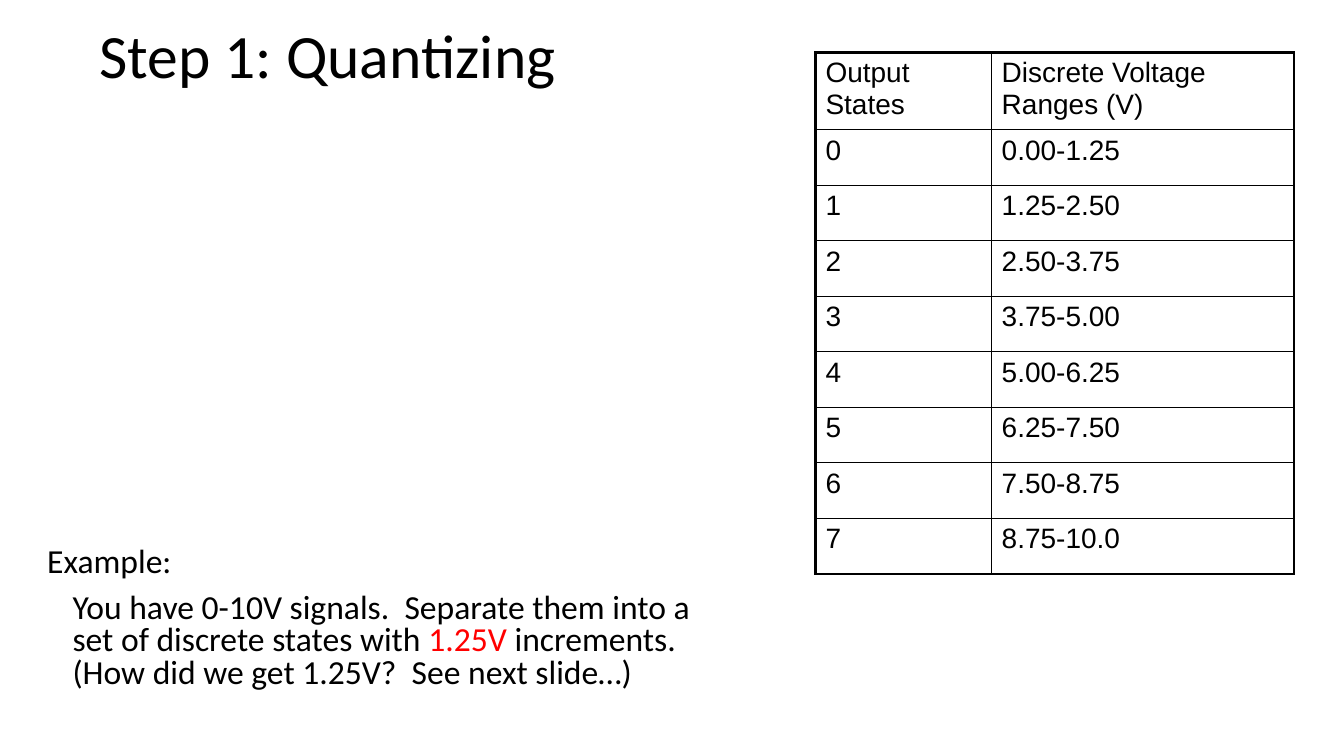
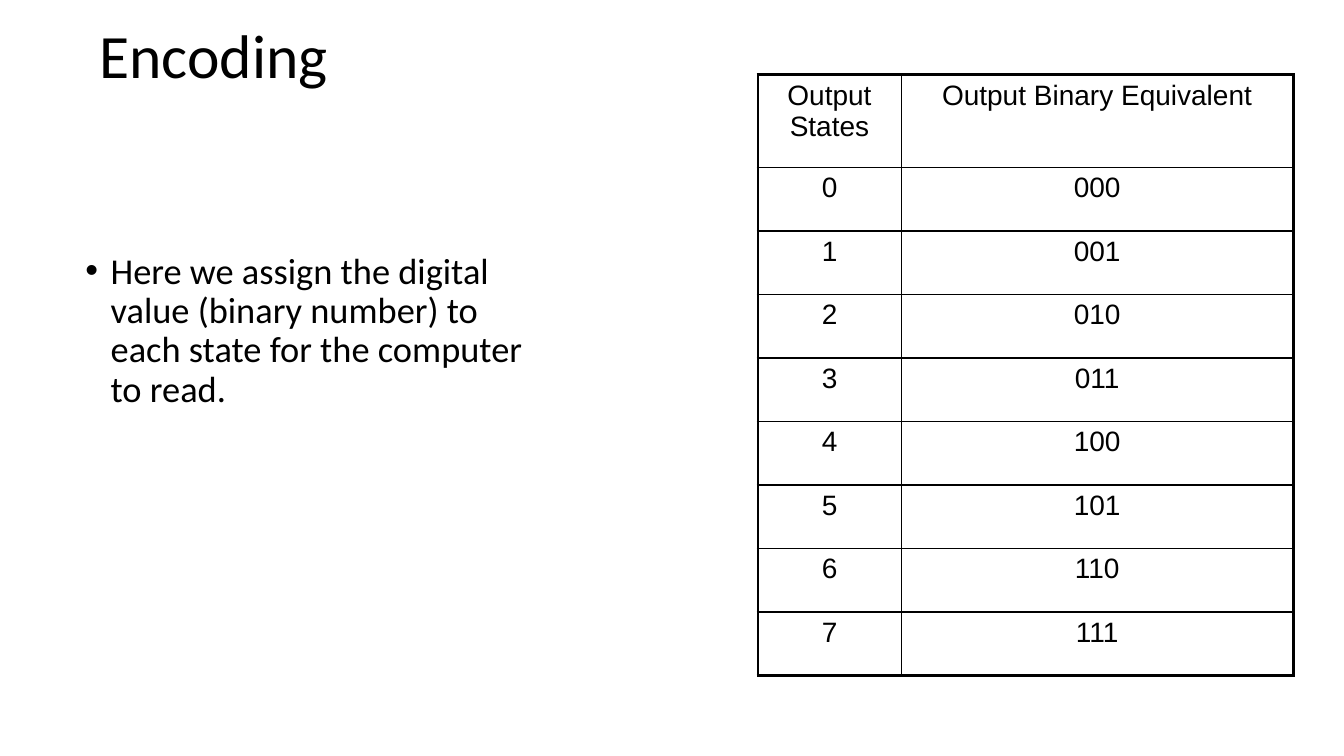
from dataclasses import dataclass

from lxml import etree
from pptx import Presentation
from pptx import util as u
from pptx.dml.color import RGBColor
from pptx.enum import text
from pptx.oxml.ns import qn


@dataclass(frozen=True)
class Theme:
    ink: str = "000000"
    accent: str = "FF0000"
    body_font: str = "Calibri"
    table_font: str = "Arial"
    title_size: float = 44
    example_size: float = 24
    bullet_size: float = 26
    table_size: float = 20
    outer_line: float = 2.25
    inner_line: float = 1
    hanging: float = 0.64


THEME = Theme()
BLANK_LAYOUT = 6
STATES = range(8)
STEP_VOLTS = 1.25


def style_span(span, font, size, color=THEME.ink):
    span.font.name = font
    span.font.size = u.Pt(size)
    span.font.color.rgb = RGBColor.from_string(color)


def add_box(page, left, top, width, height, anchor=text.MSO_ANCHOR.TOP):
    box = page.shapes.add_textbox(u.Cm(left), u.Cm(top), u.Cm(width), u.Cm(height))
    frame = box.text_frame
    frame.word_wrap = True
    frame.vertical_anchor = anchor
    return frame


def fill_para(para, pieces, size, line_spacing):
    """Write (wording, colour) pieces into a paragraph of body type."""
    para.line_spacing = line_spacing
    for wording, color in pieces:
        span = para.add_run()
        span.text = wording
        style_span(span, THEME.body_font, size, color)


def indent_para(para, left, first=0, bullet=None):
    properties = para._p.get_or_add_pPr()
    properties.set("marL", str(u.Cm(left)))
    properties.set("indent", str(u.Cm(first)))
    if bullet:
        etree.SubElement(properties, qn("a:buFont"), typeface="Arial")
        etree.SubElement(properties, qn("a:buChar"), char=bullet)


def add_title(page, wording):
    frame = add_box(page, 2.26, 0.43, 29.06, 2.11, text.MSO_ANCHOR.MIDDLE)
    fill_para(frame.paragraphs[0], [(wording, THEME.ink)], THEME.title_size, 0.9)


def set_borders(cell, outer_sides):
    """Draw all four sides, heavier where the cell meets the table's edge."""
    properties = cell._tc.get_or_add_tcPr()
    for side in "LRTB":
        weight = THEME.outer_line if side in outer_sides else THEME.inner_line
        line = etree.SubElement(properties, qn(f"a:ln{side}"), w=str(u.Pt(weight)))
        fill = etree.SubElement(line, qn("a:solidFill"))
        etree.SubElement(fill, qn("a:srgbClr"), val=THEME.ink)


def add_state_table(page, left, top, widths, header_height, row_height, rows, align):
    heights = [header_height] + [row_height] * (len(rows) - 1)
    table = page.shapes.add_table(
        len(rows), len(widths), u.Cm(left), u.Cm(top),
        u.Cm(sum(widths)), u.Cm(sum(heights))).table
    table.first_row = table.horz_banding = False
    for column, width in zip(table.columns, widths):
        column.width = u.Cm(width)
    for r, (height, values) in enumerate(zip(heights, rows)):
        table.rows[r].height = u.Cm(height)
        for c, value in enumerate(values):
            cell = table.cell(r, c)
            cell.text_frame.text = value
            para = cell.text_frame.paragraphs[0]
            para.alignment = align
            style_span(para.runs[0], THEME.table_font, THEME.table_size)
            edges = {"L": c == 0, "R": c == len(widths) - 1,
                     "T": r == 0, "B": r == len(rows) - 1}
            set_borders(cell, [side for side, outer in edges.items() if outer])
            cell.fill.background()


def voltage_range(state):
    low, high = state * STEP_VOLTS, (state + 1) * STEP_VOLTS
    return f"{low:.2f}-{high:.{1 if high >= 10 else 2}f}"


def add_quantizing_page(page):
    add_title(page, "Step 1: Quantizing")
    frame = add_box(page, 0.94, 13.67, 17.32, 4.24)
    heading = frame.paragraphs[0]
    fill_para(heading, [("Example:", THEME.ink)], THEME.example_size, 0.8)
    example = frame.add_paragraph()
    indent_para(example, THEME.hanging)
    example.space_before = u.Pt(10)
    fill_para(example, [
        ("You have 0-10V signals.  Separate them into a set of discrete states with ",
         THEME.ink),
        ("1.25V ", THEME.accent),
        ("increments.  (How did we get 1.25V?  See next slide…)", THEME.ink),
    ], THEME.example_size, 0.8)
    rows = [("Output States", "Discrete Voltage Ranges (V)")]
    rows += [(str(state), voltage_range(state)) for state in STATES]
    add_state_table(page, 20.55, 1.32, (4.44, 7.62), 1.83, 1.4, rows,
                    text.PP_ALIGN.LEFT)


def add_encoding_page(page):
    add_title(page, "Encoding")
    frame = add_box(page, 1.9, 6.25, 11.81, 4.75)
    point = frame.paragraphs[0]
    indent_para(point, THEME.hanging, -THEME.hanging, "•")
    fill_para(point, [
        ("Here we assign the digital value (binary number) to each state "
         "for the computer to read.", THEME.ink),
    ], THEME.bullet_size, 0.9)
    rows = [("Output States", "Output Binary Equivalent")]
    rows += [(str(state), f"{state:03b}") for state in STATES]
    add_state_table(page, 19.1, 1.88, (3.61, 9.88), 2.34, 1.6, rows,
                    text.PP_ALIGN.CENTER)


def main():
    deck = Presentation()
    deck.slide_width, deck.slide_height = u.Cm(33.87), u.Cm(19.05)
    for add_content in (add_quantizing_page, add_encoding_page):
        add_content(deck.slides.add_slide(deck.slide_layouts[BLANK_LAYOUT]))
    deck.save("out.pptx")


if __name__ == "__main__":
    main()
